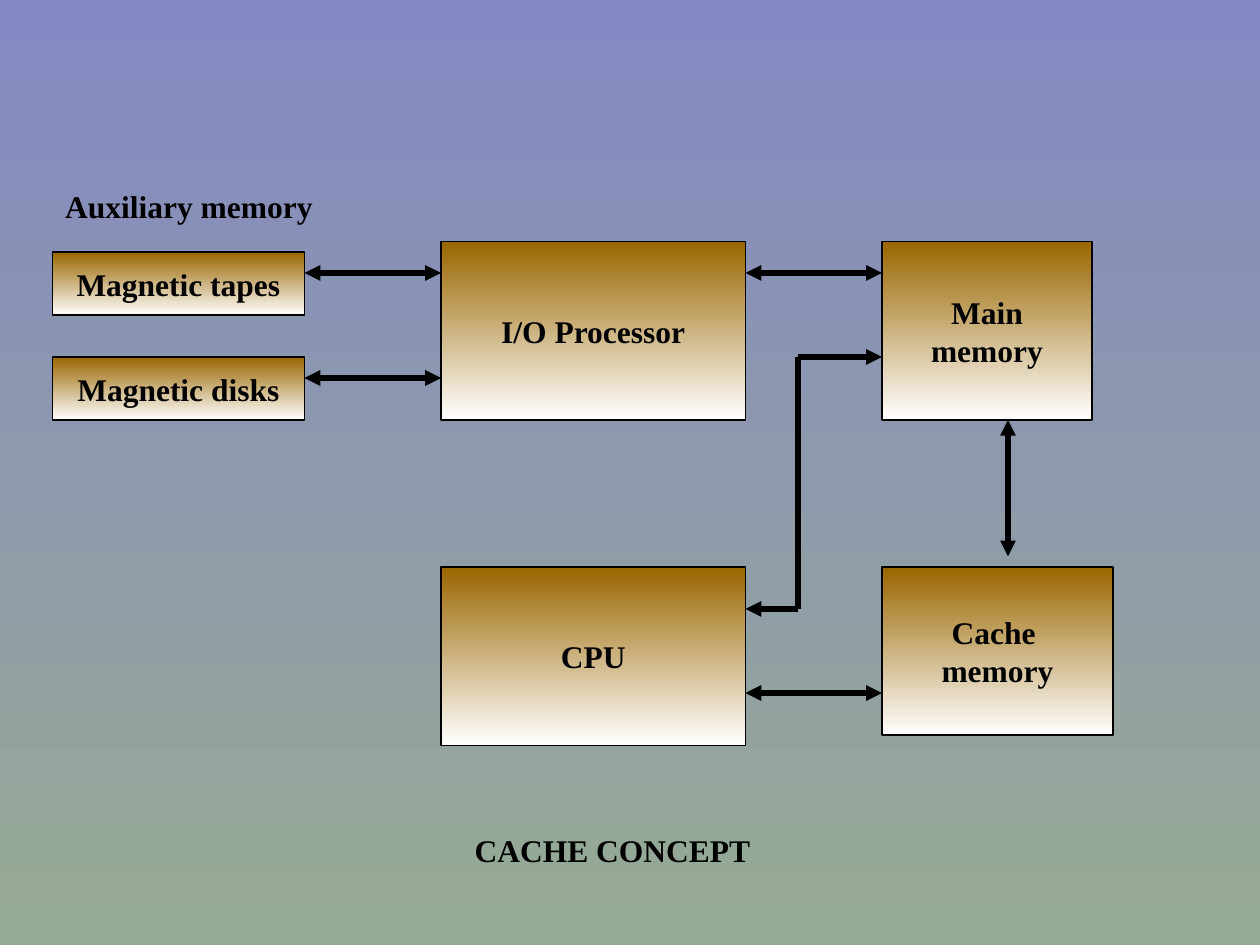
from lxml import etree
from pptx import Presentation
from pptx.dml.color import RGBColor
from pptx.enum import shapes, text
from pptx.oxml.ns import qn
from pptx.util import Pt

COLORS = {
    "sky": "8488C4",
    "sage": "96AB94",
    "bronze": "996600",
    "white": "FFFFFF",
    "ink": "000000",
}
FONT = "Times New Roman"

# Shared edges of the diagram, in points
AUX_LEFT, AUX_RIGHT = 30, 174
PROC_LEFT, PROC_RIGHT = 252, 426
MEM_LEFT = 504
UPPER_TOP, UPPER_BOTTOM = 138, 240
LOWER_TOP = 324
BEND_X = 456

# Left, top, width, height, lines of text
BOXES = [
    (PROC_LEFT, UPPER_TOP, 174, 102, ["I/O Processor"]),
    (PROC_LEFT, LOWER_TOP, 174, 102, ["CPU"]),
    (MEM_LEFT, LOWER_TOP, 132, 96, ["Cache ", "memory"]),
    (MEM_LEFT, UPPER_TOP, 120, 102, ["Main", "memory"]),
    (AUX_LEFT, 144, 144, 36, ["Magnetic tapes"]),
    (AUX_LEFT, 204, 144, 36, ["Magnetic disks"]),
]

LABELS = [
    (29, 103.5, 158, 29, ["Auxiliary memory"]),
    (263, 471.5, 174, 29, ["CACHE CONCEPT"]),
]

# Start x, start y, end x, end y, ends that carry an arrowhead
LINKS = [
    (AUX_RIGHT, 156, PROC_LEFT, 156, ("head", "tail")),
    (AUX_RIGHT, 216, PROC_LEFT, 216, ("head", "tail")),
    (PROC_RIGHT, 156, MEM_LEFT, 156, ("head", "tail")),
    (PROC_RIGHT, 396, MEM_LEFT, 396, ("head", "tail")),
    (PROC_RIGHT, 348, BEND_X, 348, ("head",)),
    (BEND_X, 204, BEND_X, 348, ()),
    (BEND_X, 204, MEM_LEFT, 204, ("tail",)),
    (576, UPPER_BOTTOM, 576, 318, ("head", "tail")),
]


def color(name):
    return RGBColor.from_string(COLORS[name])


def fill_downward(fill, top, bottom):
    """Fill with a vertical gradient from the top colour to the bottom one."""
    fill.gradient()
    fill.gradient_angle = 270
    for stop, name, position in zip(fill.gradient_stops, (top, bottom), (0, 1)):
        stop.color.rgb = color(name)
        stop.position = position


def write_lines(frame, lines):
    """Write one centred bold paragraph per line."""
    frame.word_wrap = False
    for index, line in enumerate(lines):
        para = frame.add_paragraph() if index else frame.paragraphs[0]
        para.alignment = text.PP_ALIGN.CENTER
        span = para.add_run()
        span.text = line
        span.font.name = FONT
        span.font.size = Pt(18)
        span.font.bold = True
        span.font.color.rgb = color("ink")


def add_box(page, left, top, width, height, lines):
    box = page.shapes.add_shape(
        shapes.MSO_SHAPE.RECTANGLE, Pt(left), Pt(top), Pt(width), Pt(height))
    box.shadow.inherit = False
    fill_downward(box.fill, "bronze", "white")
    box.line.color.rgb = color("ink")
    box.line.width = Pt(0.75)
    box.text_frame.vertical_anchor = text.MSO_ANCHOR.MIDDLE
    write_lines(box.text_frame, lines)


def add_label(page, left, top, width, height, lines):
    label = page.shapes.add_textbox(Pt(left), Pt(top), Pt(width), Pt(height))
    label.text_frame.auto_size = text.MSO_AUTO_SIZE.SHAPE_TO_FIT_TEXT
    write_lines(label.text_frame, lines)


def add_link(page, start_x, start_y, end_x, end_y, arrow_ends):
    link = page.shapes.add_connector(
        shapes.MSO_CONNECTOR.STRAIGHT,
        Pt(start_x), Pt(start_y), Pt(end_x), Pt(end_y))
    link.line.color.rgb = color("ink")
    link.line.width = Pt(3)
    outline = link.line._get_or_add_ln()
    for end in arrow_ends:
        etree.SubElement(outline, qn(f"a:{end}End"), type="triangle")
    etree.SubElement(link._element.spPr, qn("a:effectLst"))


def main():
    deck = Presentation()
    deck.slide_width, deck.slide_height = Pt(720), Pt(540)
    page = deck.slides.add_slide(deck.slide_layouts[6])
    fill_downward(page.background.fill, "sky", "sage")
    for box in BOXES:
        add_box(page, *box)
    for label in LABELS:
        add_label(page, *label)
    for link in LINKS:
        add_link(page, *link)
    deck.save("out.pptx")


if __name__ == "__main__":
    main()
